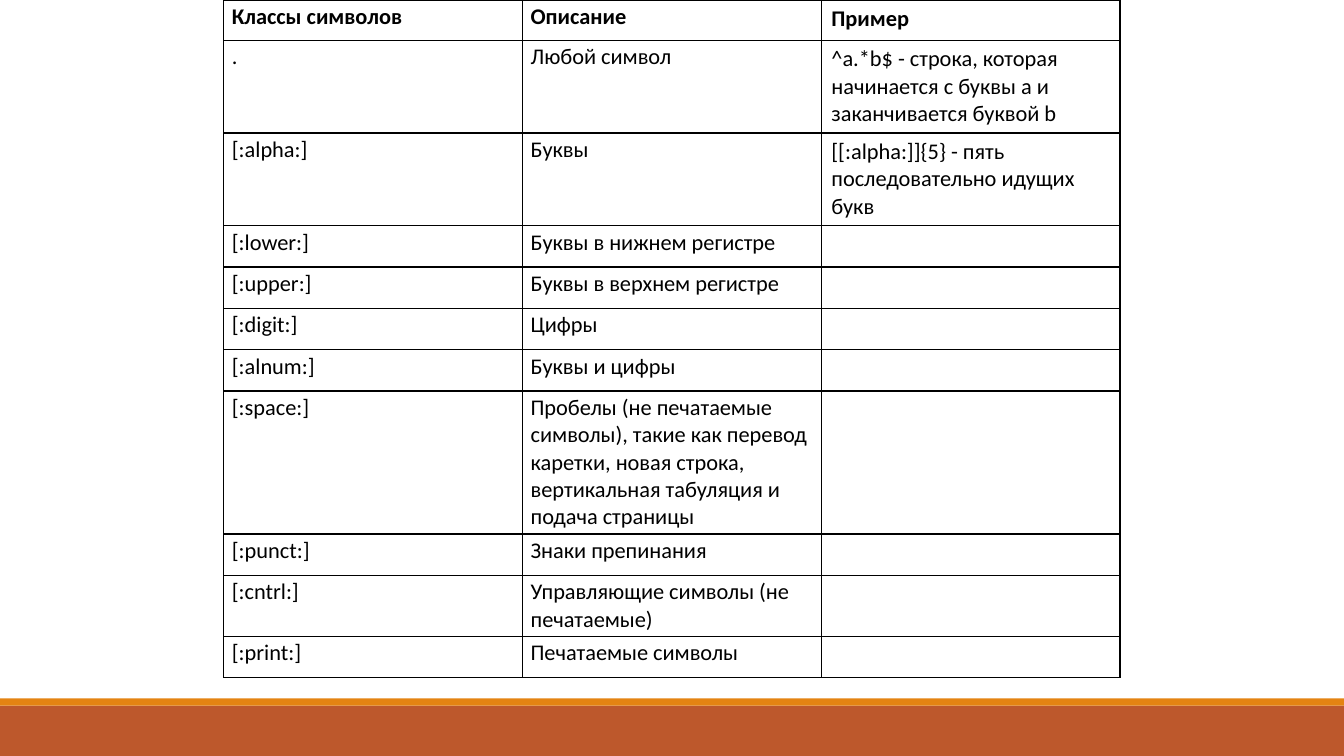
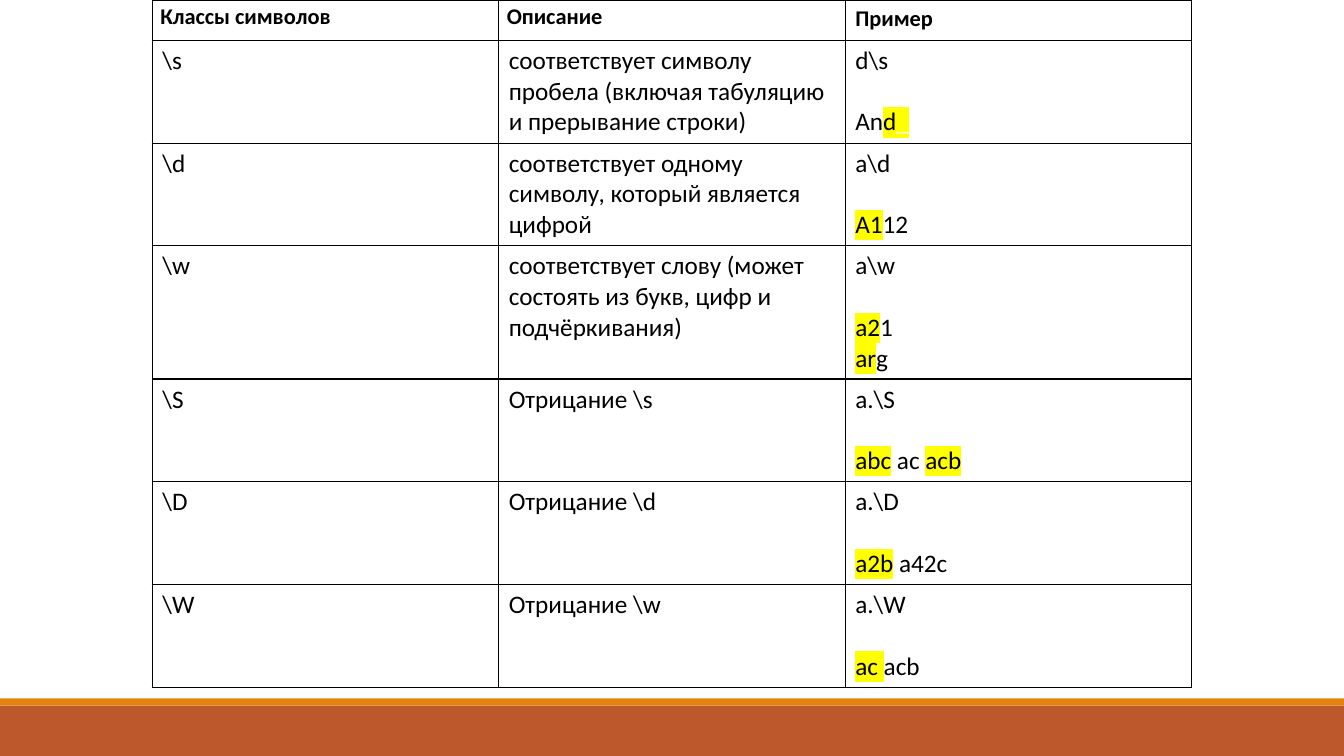
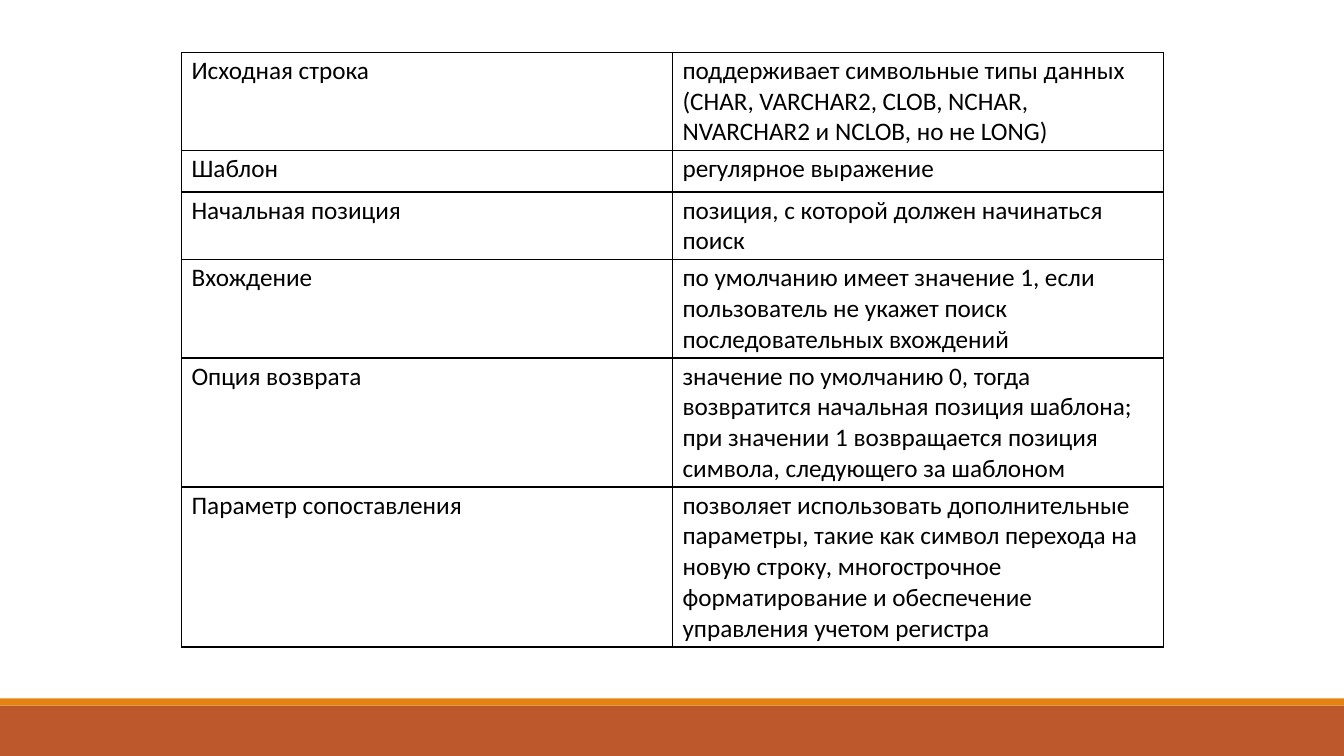
from lxml.etree import SubElement
from pptx import Presentation
from pptx.dml.color import RGBColor
from pptx.enum.shapes import MSO_SHAPE
from pptx.oxml.ns import qn
from pptx.util import Inches, Pt

RUST = RGBColor(0xBD, 0x58, 0x2C)
ORANGE = RGBColor(0xE4, 0x83, 0x12)
BLACK = RGBColor(0, 0, 0)
WHITE = RGBColor(255, 255, 255)
YELLOW = RGBColor(255, 255, 0)
FONT = "Calibri"

# Horizontal and vertical cell insets, in inches
NARROW, REGULAR, FLAT = (0.08, 0.03), (0.1, 0.05), (0.1, 0.03)
EXAMPLE_GAP = 22  # points between a pattern and its matches

HEADER = ["Классы символов", "Описание", "Пример"]

POSIX_CLASSES = [
    HEADER,
    [".", "Любой символ",
     "^a.*b$ - строка, которая начинается с буквы a и заканчивается буквой b"],
    ["[:alpha:]", "Буквы", "[[:alpha:]]{5} - пять последовательно идущих букв"],
    ["[:lower:]", "Буквы в нижнем регистре", ""],
    ["[:upper:]", "Буквы в верхнем регистре", ""],
    ["[:digit:]", "Цифры", ""],
    ["[:alnum:]", "Буквы и цифры", ""],
    ["[:space:]", "Пробелы (не печатаемые символы), такие как перевод каретки, "
     "новая строка, вертикальная табуляция и подача страницы", ""],
    ["[:punct:]", "Знаки препинания", ""],
    ["[:cntrl:]", "Управляющие символы (не печатаемые)", ""],
    ["[:print:]", "Печатаемые символы", ""],
]


def marked(text, color=BLACK):
    """Return a run that is highlighted as a match."""
    return text, {"highlight": YELLOW, "color": color}


# An example is a list of paragraphs: the pattern, then lines of runs
SHORT_CLASSES = [
    HEADER,
    [r"\s", "соответствует символу пробела (включая табуляцию и прерывание строки)",
     [r"d\s", ["An", marked("d"), marked("_", WHITE)]]],
    [r"\d", "соответствует одному символу, который является цифрой",
     [r"a\d", [marked("A1"), "12"]]],
    [r"\w", "соответствует слову (может состоять из букв, цифр и подчёркивания)",
     [r"a\w", [marked("a2"), "1"], [marked("ar"), "g"]]],
    [r"\S", r"Отрицание \s", [r"a.\S", [marked("abc"), " ac ", marked("acb")]]],
    [r"\D", r"Отрицание \d", [r"a.\D", [marked("a2b"), " a42c"]]],
    [r"\W", r"Отрицание \w", [r"a.\W", [marked("ac "), "acb"]]],
]

PARAMETERS = [
    ["Исходная строка", "поддерживает символьные типы данных (CHAR, VARCHAR2, "
     "CLOB, NCHAR, NVARCHAR2 и NCLOB, но не LONG)"],
    ["Шаблон", "регулярное выражение"],
    ["Начальная позиция", "позиция, с которой должен начинаться поиск"],
    ["Вхождение", "по умолчанию имеет значение 1, если пользователь не укажет "
     "поиск последовательных вхождений"],
    ["Опция возврата", "значение по умолчанию 0, тогда возвратится начальная "
     "позиция шаблона; при значении 1 возвращается позиция символа, "
     "следующего за шаблоном"],
    ["Параметр сопоставления", "позволяет использовать дополнительные параметры, "
     "такие как символ перехода на новую строку, многострочное форматирование "
     "и обеспечение управления учетом регистра"],
]


def add_text(paragraph, text, size=18, bold=False, color=BLACK, highlight=None):
    """Add one formatted run to a paragraph."""
    run = paragraph.add_run()
    run.text = text
    font = run.font
    font.name, font.size, font.bold = FONT, Pt(size), bold
    font.color.rgb = color
    if highlight is not None:
        properties = run._r.get_or_add_rPr()
        mark = SubElement(properties, qn("a:highlight"))
        SubElement(mark, qn("a:srgbClr"), val=str(highlight))
        properties.find(qn("a:solidFill")).addnext(mark)


def add_borders(cell):
    """Draw a one-point black line on each side of a cell."""
    properties = cell._tc.get_or_add_tcPr()
    for side in ("lnL", "lnR", "lnT", "lnB"):
        line = SubElement(properties, qn(f"a:{side}"), w=str(Pt(1)))
        fill = SubElement(line, qn("a:solidFill"))
        SubElement(fill, qn("a:srgbClr"), val=str(BLACK))


def fill_cell(cell, content, insets, **text_format):
    """Format a cell and write its text or its list of paragraphs."""
    add_borders(cell)
    cell.fill.background()
    cell.margin_left = cell.margin_right = Inches(insets[0])
    cell.margin_top = cell.margin_bottom = Inches(insets[1])
    lines = content if isinstance(content, list) else [content]
    frame = cell.text_frame
    for index, line in enumerate(lines):
        paragraph = frame.add_paragraph() if index else frame.paragraphs[0]
        if index == 1:
            paragraph.space_before = Pt(EXAMPLE_GAP)
        for run in line if isinstance(line, list) else [line]:
            text, extra = run if isinstance(run, tuple) else (run, {})
            if text:
                add_text(paragraph, text, **{**text_format, **extra})


def add_table_slide(presentation, rows, box, heights, insets, header_insets=None, size=18):
    """Add a slide with one ruled table; insets are given per column."""
    slide = presentation.slides.add_slide(presentation.slide_layouts[6])
    left, top, width = box
    column_count = len(rows[0])
    table = slide.shapes.add_table(
        len(rows), column_count, Inches(left), Inches(top),
        Inches(width), Inches(sum(heights))).table
    table.first_row = table.horz_banding = False
    for column in table.columns:
        column.width = Inches(width / column_count)
    for index, (row, height) in enumerate(zip(rows, heights)):
        table.rows[index].height = Inches(height)
        is_header = index == 0 and header_insets is not None
        row_insets = header_insets if is_header else insets
        for column, content in enumerate(row):
            fill_cell(table.cell(index, column), content, row_insets[column],
                      size=16 if is_header else size, bold=is_header)
    return slide


def add_master_bands(presentation, slide):
    """Draw the bottom bands and move them to the slide master."""
    for top, height, color in ((7, 0.5, RUST), (6.93, 0.07, ORANGE)):
        band = slide.shapes.add_shape(
            MSO_SHAPE.RECTANGLE, 0, Inches(top),
            presentation.slide_width, Inches(height))
        band.shadow.inherit = False
        band.fill.solid()
        band.fill.fore_color.rgb = color
        band.line.fill.background()
        presentation.slide_master.shapes.element.append(band.element)


def main():
    presentation = Presentation()
    presentation.slide_width = Inches(13.33)
    presentation.slide_height = Inches(7.5)

    mixed_insets = [NARROW, NARROW, REGULAR]
    first_slide = add_table_slide(
        presentation, POSIX_CLASSES, (2.22, 0, 8.89),
        [0.4, 0.92, 0.92] + [0.41] * 4 + [1.4, 0.41, 0.6, 0.41],
        mixed_insets, header_insets=mixed_insets, size=16)
    add_master_bands(presentation, first_slide)

    add_table_slide(
        presentation, SHORT_CLASSES, (1.51, 0, 10.31),
        [0.4, 1.02, 1.02, 1.32, 1.02, 1.02, 1.02],
        [REGULAR] * 3, header_insets=mixed_insets)

    add_table_slide(
        presentation, PARAMETERS, (1.8, 0.52, 9.74),
        [0.97, 0.41, 0.66, 0.97, 1.27, 1.56], [FLAT] * 2)

    presentation.save("out.pptx")


if __name__ == "__main__":
    main()
